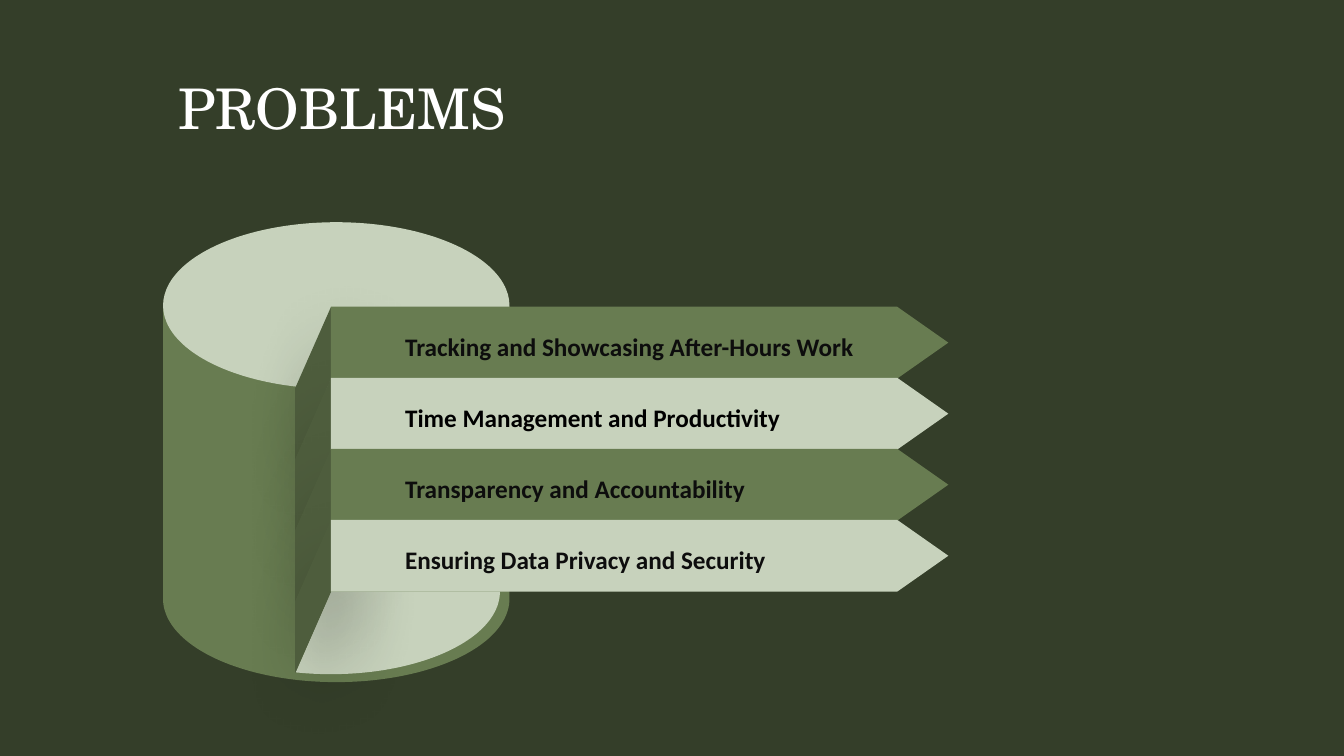
from math import cos, radians, sin

from lxml.etree import SubElement
from pptx import Presentation
from pptx.dml.color import RGBColor
from pptx.enum.shapes import MSO_SHAPE as Shape
from pptx.enum.text import MSO_ANCHOR as Anchor, PP_ALIGN as Align
from pptx.oxml.ns import qn
from pptx.util import Cm, Pt

COLORS = {
    "background": "343E29",
    "green": "687C51",
    "pale": "C7D2BC",
    "wall": "4E5D3D",
    "shadow": "000000",
    "title": "FFFFFF",
}
# Label, banner colour, text colour
PROBLEMS = [
    ("Tracking and Showcasing After-Hours Work", "green", "0D0D0D"),
    ("Time Management and Productivity", "pale", "000000"),
    ("Transparency and Accountability", "green", "0D0D0D"),
    ("Ensuring Data Privacy and Security", "pale", "0D0D0D"),
]

# Cylinder and banner geometry in centimetres
DRUM_LEFT, DRUM_WIDTH = 4.11, 8.73
DRUM_TOP, DRUM_BOTTOM = 7.7, 15.09
DRUM_RADIUS_Y = 2.1
CUT_LEFT, CUT_RIGHT, CUT_TOP, CUT_DROP = 7.44, 8.34, 7.74, 2.04
FLOOR_Y = 14.91
BANNER_WIDTH, BANNER_HEIGHT, TIP_LENGTH, PITCH = 15.56, 1.81, 1.29, 1.79

deck = Presentation()
deck.slide_width, deck.slide_height = Cm(33.87), Cm(19.05)
page = deck.slides.add_slide(deck.slide_layouts[5])
page.background.fill.solid()
page.background.fill.fore_color.rgb = RGBColor.from_string(COLORS["background"])


def paint(shape, color):
    """Give a shape a flat fill without outline or shadow."""
    shape.fill.solid()
    shape.fill.fore_color.rgb = RGBColor.from_string(COLORS[color])
    shape.line.fill.background()
    shape.shadow.inherit = False


def add_polygon(points, color):
    corners = [(Cm(x), Cm(y)) for x, y in points]
    builder = page.shapes.build_freeform(*corners[0])
    builder.add_line_segments(corners[1:], close=True)
    polygon = builder.convert_to_shape()
    paint(polygon, color)
    return polygon


# Title
title = page.shapes.title
title.left, title.top, title.width, title.height = Cm(4.11), Cm(1.98), Cm(25.65), Cm(1.57)
frame = title.text_frame
frame.text = "PROBLEMS"
frame.margin_left = Cm(0.39)
frame.margin_top = frame.margin_right = frame.margin_bottom = 0
frame.vertical_anchor = Anchor.MIDDLE
para = frame.paragraphs[0]
para.alignment = Align.LEFT
para.line_spacing = Pt(44)
font = para.runs[0].font
font.name, font.size = "TeX Gyre Schola", Pt(40)
font.color.rgb = RGBColor.from_string(COLORS["title"])

# Cylinder: side, lid and the floor of the cut-out
radius_x = DRUM_WIDTH / 2
center_x = DRUM_LEFT + radius_x
rim = [
    (center_x + radius_x * cos(radians(angle)), DRUM_BOTTOM + DRUM_RADIUS_Y * sin(radians(angle)))
    for angle in range(0, 181, 2)
]
add_polygon([(DRUM_LEFT, DRUM_TOP), (DRUM_LEFT + DRUM_WIDTH, DRUM_TOP)] + rim, "green")

lid = page.shapes.add_shape(
    Shape.OVAL, Cm(DRUM_LEFT), Cm(DRUM_TOP - DRUM_RADIUS_Y), Cm(DRUM_WIDTH), Cm(2 * DRUM_RADIUS_Y)
)
paint(lid, "pale")

floor_edge = [
    (CUT_RIGHT + 4.26 * cos(radians(angle)), FLOOR_Y + 2.08 * sin(radians(angle)))
    for angle in range(0, 103, 2)
]
add_polygon([(CUT_RIGHT, FLOOR_Y)] + floor_edge, "pale")

# Inner walls with a soft shadow
for row in range(len(PROBLEMS)):
    top = CUT_TOP + row * PITCH
    bottom = top + BANNER_HEIGHT
    wall = add_polygon(
        [
            (CUT_RIGHT, top),
            (CUT_LEFT, top + CUT_DROP),
            (CUT_LEFT, bottom + CUT_DROP),
            (CUT_RIGHT, bottom),
        ],
        "wall",
    )
    effects = wall._element.spPr.find(qn("a:effectLst"))
    shadow = SubElement(
        effects, qn("a:outerShdw"), blurRad=str(Pt(52)), dist=str(Pt(20)), dir="2700000", rotWithShape="0"
    )
    shade = SubElement(shadow, qn("a:srgbClr"), val=COLORS["shadow"])
    SubElement(shade, qn("a:alpha"), val="40000")

# Banners
for row, (label, color, ink) in enumerate(PROBLEMS):
    banner = page.shapes.add_shape(
        Shape.PENTAGON, Cm(CUT_RIGHT), Cm(7.73 + row * PITCH), Cm(BANNER_WIDTH), Cm(BANNER_HEIGHT)
    )
    banner.adjustments[0] = TIP_LENGTH / BANNER_HEIGHT
    paint(banner, color)

# Labels
for row, (label, color, ink) in enumerate(PROBLEMS):
    box = page.shapes.add_textbox(Cm(10.21), Cm(8.34 + row * PITCH), Cm(14.02), Cm(0.76))
    frame = box.text_frame
    frame.word_wrap = True
    frame.margin_left = frame.margin_top = frame.margin_right = frame.margin_bottom = 0
    frame.text = label
    font = frame.paragraphs[0].runs[0].font
    font.name, font.size, font.bold = "Calibri", Pt(18), True
    font.color.rgb = RGBColor.from_string(ink)

deck.save("out.pptx")
